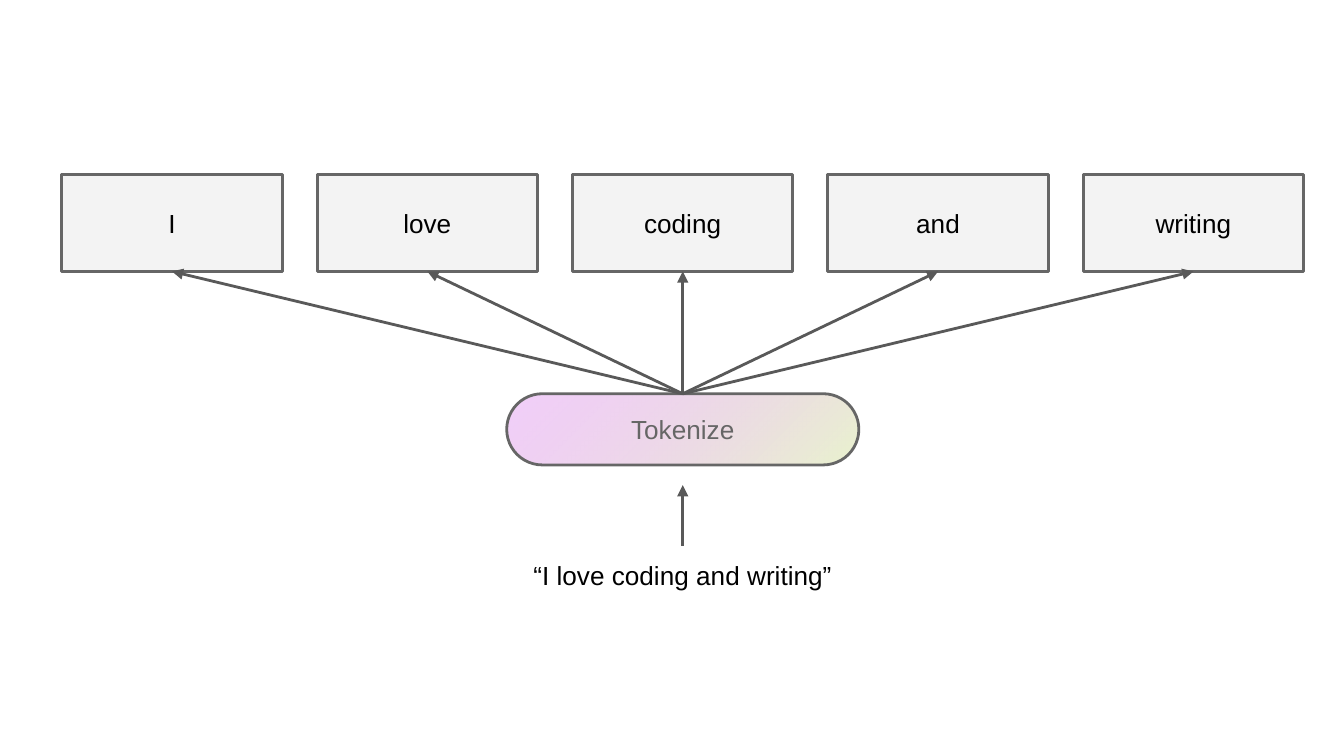
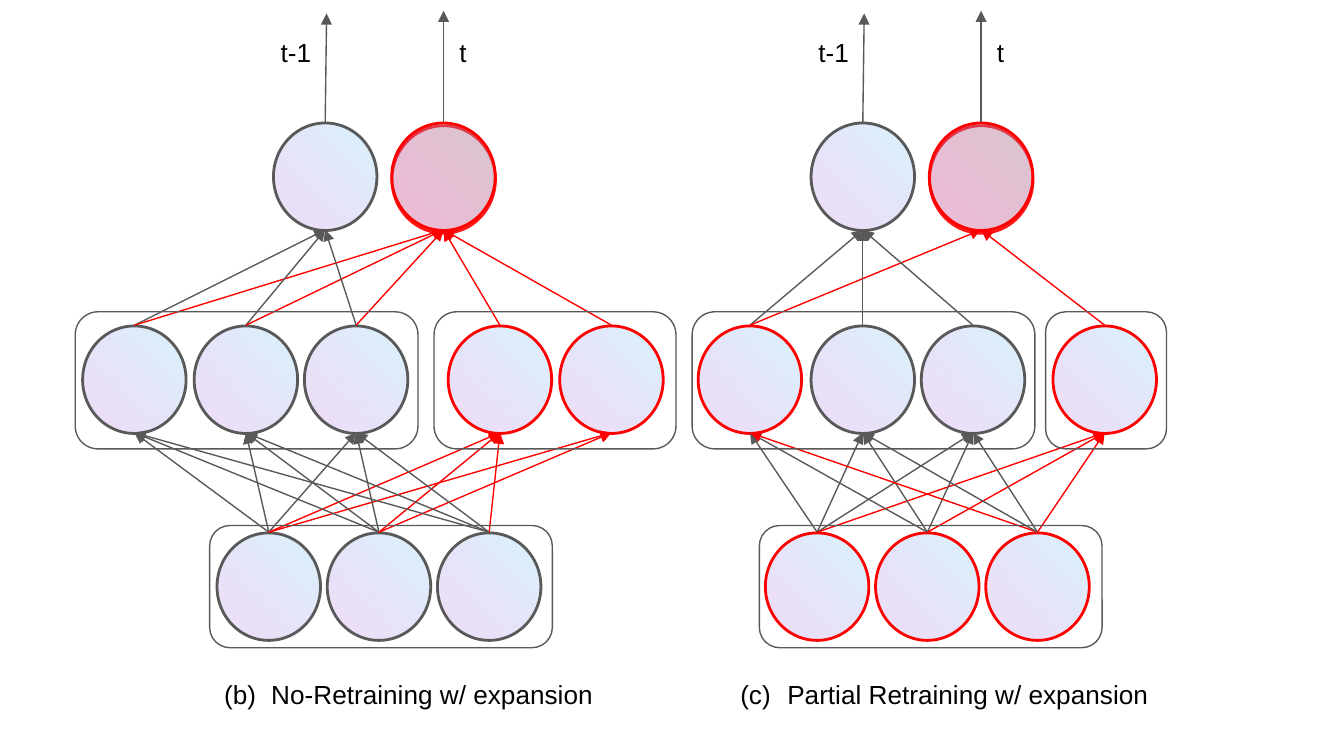
from lxml import etree
from pptx import Presentation
from pptx.dml.color import RGBColor
from pptx.enum.shapes import MSO_CONNECTOR, MSO_SHAPE
from pptx.enum.text import MSO_ANCHOR, MSO_AUTO_SIZE, PP_ALIGN
from pptx.oxml.ns import qn
from pptx.util import Inches, Pt

STRAIGHT = MSO_CONNECTOR.STRAIGHT
RECTANGLE = MSO_SHAPE.RECTANGLE
ROUNDED = MSO_SHAPE.ROUNDED_RECTANGLE
OVAL = MSO_SHAPE.OVAL
MIDDLE, TOP = MSO_ANCHOR.MIDDLE, MSO_ANCHOR.TOP
CENTER, LEFT = PP_ALIGN.CENTER, PP_ALIGN.LEFT
GROW = MSO_AUTO_SIZE.SHAPE_TO_FIT_TEXT

COLORS = {
    "text": "000000",
    "outline": "666666",
    "grey": "595959",
    "red": "FF0000",
    "token": "F3F3F3",
    "lime": "E0EDBA",
    "pink": "DE87F1",
    "sky": "69D4F4",
    "violet": "9F39D5",
}
PILL_FILL = [("lime", 71), ("pink", 40)]
NODE_FILL = [("sky", 26), ("violet", 17)]
INK = {"g": "grey", "r": "red"}


def add_box(page, at, text="", kind=None, fill=None, line="grey", width=1.5,
            color="text", align=LEFT, grow=False):
    place = [Inches(length) for length in at]
    if kind is None:
        box = page.shapes.add_textbox(*place)
    else:
        box = page.shapes.add_shape(kind, *place)
        box.shadow.inherit = False
        box.line.color.rgb = RGBColor.from_string(COLORS[line])
        box.line.width = Pt(width)
        if fill is None:
            box.fill.background()
        elif isinstance(fill, str):
            box.fill.solid()
            box.fill.fore_color.rgb = RGBColor.from_string(COLORS[fill])
        else:
            box.fill.gradient()
            box.fill.gradient_angle = 135
            for stop, (name, _) in zip(box.fill.gradient_stops, fill):
                stop.color.rgb = RGBColor.from_string(COLORS[name])
            tints = box.element.spPr.find(qn("a:gradFill")).iter(qn("a:srgbClr"))
            for tint, (_, opacity) in zip(tints, fill):
                etree.SubElement(tint, qn("a:alpha"), val=str(opacity * 1000))
    if text:
        frame = box.text_frame
        frame.word_wrap = True
        frame.margin_left = frame.margin_right = Inches(0.1)
        frame.margin_top = frame.margin_bottom = Inches(0.1)
        frame.vertical_anchor = TOP if kind is None else MIDDLE
        if grow:
            frame.auto_size = GROW
        para = frame.paragraphs[0]
        para.alignment = align
        span = para.add_run()
        span.text = text
        span.font.name = "Arial"
        span.font.size = Pt(14)
        span.font.color.rgb = RGBColor.from_string(COLORS[color])
    return box


def add_arrow(page, start, end, color="grey", width=0.75):
    arrow = page.shapes.add_connector(
        STRAIGHT, *[Inches(length) for length in (*start, *end)])
    arrow.line.color.rgb = RGBColor.from_string(COLORS[color])
    arrow.line.width = Pt(width)
    properties = arrow.element.spPr
    etree.SubElement(properties.find(qn("a:ln")), qn("a:tailEnd"), type="triangle")
    etree.SubElement(properties, qn("a:effectLst"))
    return arrow


deck = Presentation()
deck.slide_width = Inches(10)
deck.slide_height = Inches(10) * 9 // 16
blank = deck.slide_layouts[6]

page = deck.slides.add_slide(blank)
tokenizer = add_box(page, (3.77, 2.93, 2.62, 0.53), "Tokenize", kind=ROUNDED,
                    fill=PILL_FILL, line="outline", color="outline", align=CENTER)
tokenizer.adjustments[0] = 0.5
for index, word in enumerate(["I", "love", "coding", "and", "writing"]):
    left = 0.46 + 1.9 * index
    token = add_box(page, (left, 1.3, 1.64, 0.72), word, kind=RECTANGLE,
                    fill="token", line="outline", align=CENTER)
    arrow = add_arrow(page, (5.08, 2.93), (left + 0.82, 2.02), width=1.5)
    arrow.begin_connect(tokenizer, 0)
    arrow.end_connect(token, 2)
sentence = add_box(page, (3.8, 4.06, 2.56, 0.46), "“I love coding and writing”",
                   align=CENTER)
arrow = add_arrow(page, (5.08, 4.06), (5.08, 3.61), width=1.5)
arrow.begin_connect(sentence, 0)

NETWORKS = [
    {
        "inputs": ([2, 2.82, 3.64], "ggg"),
        "hidden": ([1, 1.83, 2.65, 3.72, 4.55], "gggrr"),
        "outputs": ([2.42, 3.3], "gr"),
        "input_links": ["gggrr", "gggrr", "gggr-"],
        "hidden_links": ["gr", "gr", "gr", "-r", "-r"],
        "frames": [(0.56, 2.32, 2.55, 1.02), (3.23, 2.32, 1.8, 1.02),
                   (1.56, 3.91, 2.55, 0.91)],
        "caption": ("No-Retraining w/ expansion", 2, 1.42, 3.17),
    },
    {
        "inputs": ([6.08, 6.9, 7.72], "rrr"),
        "hidden": ([5.58, 6.42, 7.24, 8.22], "rggr"),
        "outputs": ([6.42, 7.3], "gr"),
        "input_links": ["gggr", "gggr", "rggr"],
        "hidden_links": ["gr", "g-", "g-", "-r"],
        "frames": [(5.15, 2.32, 2.55, 1.02), (7.78, 2.32, 0.9, 1.02),
                   (5.65, 3.91, 2.55, 0.91)],
        "caption": ("Partial Retraining w/ expansion", 3, 5.26, 3.43),
    },
]
LAYER_TOPS = {"inputs": 3.98, "hidden": 2.44, "outputs": 0.93}

page = deck.slides.add_slide(blank)
for network in NETWORKS:
    for layer, top in LAYER_TOPS.items():
        for center, ink in zip(*network[layer]):
            node = add_box(page, (center - 0.4, top, 0.8, 0.77), kind=OVAL,
                           fill=NODE_FILL, line=INK[ink])
            node.rotation = 270
            if layer == "outputs" and ink == "r":
                effects = node.element.spPr.find(qn("a:effectLst"))
                shadow = etree.SubElement(
                    effects, qn("a:outerShdw"), blurRad="0", dist=str(Pt(1.5)),
                    dir=str(85 * 60000), algn="bl", rotWithShape="0")
                tint = etree.SubElement(shadow, qn("a:srgbClr"), val=COLORS["red"])
                etree.SubElement(tint, qn("a:alpha"), val="89000")

    for lower, upper, links in [("inputs", "hidden", "input_links"),
                                ("hidden", "outputs", "hidden_links")]:
        start_y = LAYER_TOPS[lower] - 0.02
        end_y = LAYER_TOPS[upper] + 0.78
        for start_x, row in zip(network[lower][0], network[links]):
            for end_x, ink in zip(network[upper][0], row):
                if ink in INK:
                    add_arrow(page, (start_x, start_y), (end_x, end_y), INK[ink])

    previous, current = network["outputs"][0]
    add_arrow(page, (previous, 0.91), (previous + 0.01, 0.1))
    add_arrow(page, (current, 0.91), (current, 0.08))
    add_box(page, (previous - 0.43, 0.17, 0.49, 0.44), "t-1", grow=True)
    add_box(page, (current + 0.02, 0.17, 0.23, 0.44), "t", grow=True)

    for place in network["frames"]:
        add_box(page, place, kind=ROUNDED, width=0.75)

    text, number, left, width = network["caption"]
    caption = add_box(page, (left, 4.95, width, 0.44), text, grow=True)
    numbering = caption.text_frame.paragraphs[0]._p.get_or_add_pPr()
    numbering.set("marL", str(Inches(0.5)))
    numbering.set("indent", str(Inches(-0.35)))
    bullet_color = etree.SubElement(numbering, qn("a:buClr"))
    etree.SubElement(bullet_color, qn("a:srgbClr"), val=COLORS["text"])
    etree.SubElement(numbering, qn("a:buAutoNum"), type="alphaLcParenBoth",
                     startAt=str(number))

deck.save("out.pptx")
